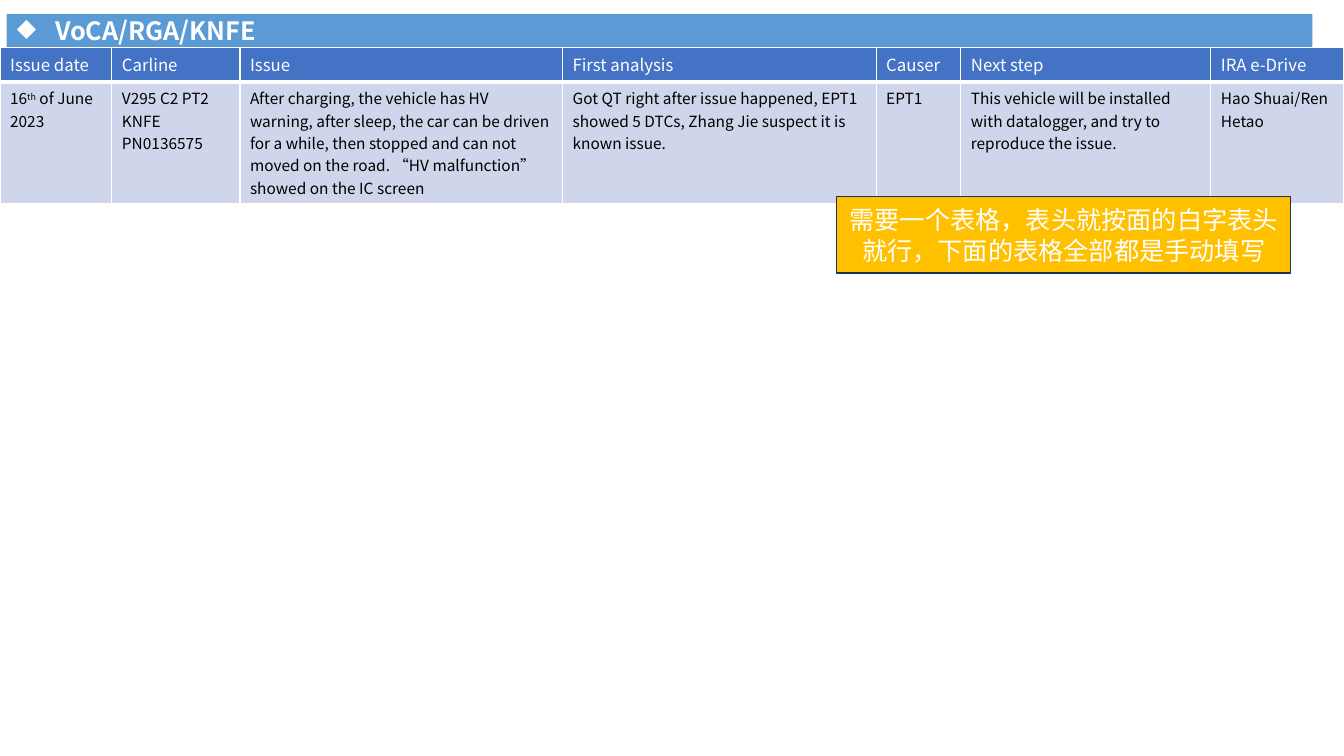
import dataclasses

import lxml.etree
import pptx
import pptx.dml.color
import pptx.enum.shapes
import pptx.enum.text
import pptx.oxml.ns
import pptx.util

qn = pptx.oxml.ns.qn
ALIGN = pptx.enum.text.PP_ALIGN
MIDDLE = pptx.enum.text.MSO_ANCHOR.MIDDLE


@dataclasses.dataclass(frozen=True)
class Theme:
    font: str = "Noto Sans CJK SC"
    white: str = "FFFFFF"
    black: str = "000000"
    bar: str = "5B9BD5"
    header: str = "4472C4"
    body: str = "CFD5EA"
    note: str = "FFC000"
    note_line: str = "1E3256"
    heading_pt: int = 18
    header_pt: int = 12
    body_pt: int = 11
    thin_pt: int = 1
    thick_pt: int = 3


THEME = Theme()

# Column heading, relative width, runs of the entry as (text, baseline percent)
ISSUE_COLUMNS = [
    ("Issue date", 1.11, [("16", 0), ("th", 30), (" of June 2023", 0)]),
    ("Carline", 1.27, [("V295 C2 PT2 KNFE PN0136575", 0)]),
    ("Issue", 3.2, [("After charging, the vehicle has HV warning, after sleep, the car can be "
                     "driven for a while, then stopped and can not moved on the road. "
                     "“HV malfunction” showed on the IC screen", 0)]),
    ("First analysis", 3.11, [("Got QT right after issue happened, EPT1 showed 5 DTCs, "
                               "Zhang Jie suspect it is known issue.", 0)]),
    ("Causer", 0.84, [("EPT1", 0)]),
    ("Next step", 2.48, [("This vehicle will be installed with datalogger, and try to "
                          "reproduce the issue.", 0)]),
    ("IRA e-Drive", 1.32, [("Hao Shuai/Ren Hetao", 0)]),
]


def rgb(color):
    return pptx.dml.color.RGBColor.from_string(color)


def box_on(prs, left, top, width, height):
    """Turn percentages of the slide's size into a box."""
    w, h = prs.slide_width / 100, prs.slide_height / 100
    return [round(v) for v in (left * w, top * h, width * w, height * h)]


def write(tf, text, size, color=THEME.white, bold=False, align=ALIGN.LEFT):
    """Fill the first paragraph; text is a string or (text, baseline percent) runs."""
    tf.word_wrap = True
    p = tf.paragraphs[0]
    p.alignment = align
    for part, baseline in [(text, 0)] if isinstance(text, str) else text:
        r = p.add_run()
        r.text = part
        r.font.name = THEME.font
        r.font.size = pptx.util.Pt(size)
        r.font.bold = bold
        r.font.color.rgb = rgb(color)
        rPr = r._r.get_or_add_rPr()
        lxml.etree.SubElement(rPr, qn("a:ea"), typeface=THEME.font)
        if baseline:
            rPr.set("baseline", str(baseline * 1000))
    return p


def add_bullet(p, char, indent):
    pPr = p._p.get_or_add_pPr()
    pPr.set("marL", str(indent))
    pPr.set("indent", str(-indent))
    lxml.etree.SubElement(pPr, qn("a:buChar"), char=char)


def style_cell(cell, fill, bottom_pt):
    cell.fill.solid()
    cell.fill.fore_color.rgb = rgb(fill)
    tcPr = cell._tc.get_or_add_tcPr()
    for i, side in enumerate("LRTB"):
        width = bottom_pt if side == "B" else THEME.thin_pt
        ln = lxml.etree.Element(qn(f"a:ln{side}"), w=str(pptx.util.Pt(width)))
        solid = lxml.etree.SubElement(ln, qn("a:solidFill"))
        lxml.etree.SubElement(solid, qn("a:srgbClr"), val=THEME.white)
        tcPr.insert(i, ln)


def add_heading(s, box):
    sp = s.shapes.title
    sp.left, sp.top, sp.width, sp.height = box
    sp.fill.solid()
    sp.fill.fore_color.rgb = rgb(THEME.bar)
    tf = sp.text_frame
    tf.auto_size = pptx.enum.text.MSO_AUTO_SIZE.NONE
    tf.vertical_anchor = MIDDLE
    p = write(tf, "VoCA/RGA/KNFE", THEME.heading_pt, bold=True)
    add_bullet(p, "◆", pptx.util.Inches(0.38))


def add_issue_table(s, box, header_share):
    table = s.shapes.add_table(2, len(ISSUE_COLUMNS), *box).table
    width, height = box[2:]
    table.rows[0].height = round(height * header_share)
    table.rows[1].height = height - table.rows[0].height
    total = sum(share for _, share, _ in ISSUE_COLUMNS)
    for col, (heading, share, entry) in enumerate(ISSUE_COLUMNS):
        table.columns[col].width = round(width * share / total)
        head, body = table.cell(0, col), table.cell(1, col)
        style_cell(head, THEME.header, THEME.thick_pt)
        style_cell(body, THEME.body, THEME.thin_pt)
        write(head.text_frame, heading, THEME.header_pt)
        write(body.text_frame, entry, THEME.body_pt, color=THEME.black)


def add_note(s, box):
    sp = s.shapes.add_shape(pptx.enum.shapes.MSO_SHAPE.RECTANGLE, *box)
    sp.shadow.inherit = False
    sp.fill.solid()
    sp.fill.fore_color.rgb = rgb(THEME.note)
    sp.line.color.rgb = rgb(THEME.note_line)
    sp.line.width = pptx.util.Pt(THEME.thin_pt)
    sp.text_frame.vertical_anchor = MIDDLE
    write(sp.text_frame, "需要一个表格，表头就按面的白字表头就行，下面的表格全部都是手动填写",
          THEME.heading_pt, align=ALIGN.CENTER)


def add_issue_slide(prs):
    s = prs.slides.add_slide(prs.slide_layouts.get_by_name("Title Only"))
    add_heading(s, box_on(prs, 0.5, 1.87, 97.15, 4.4))
    add_issue_table(s, box_on(prs, 0, 6.27, 100, 20.7), header_share=0.22)
    add_note(s, box_on(prs, 62.26, 26, 33.76, 10.13))


def main():
    prs = pptx.Presentation()
    prs.slide_width = pptx.util.Inches(13.33)
    prs.slide_height = pptx.util.Inches(7.5)
    add_issue_slide(prs)
    prs.save("out.pptx")


if __name__ == "__main__":
    main()
